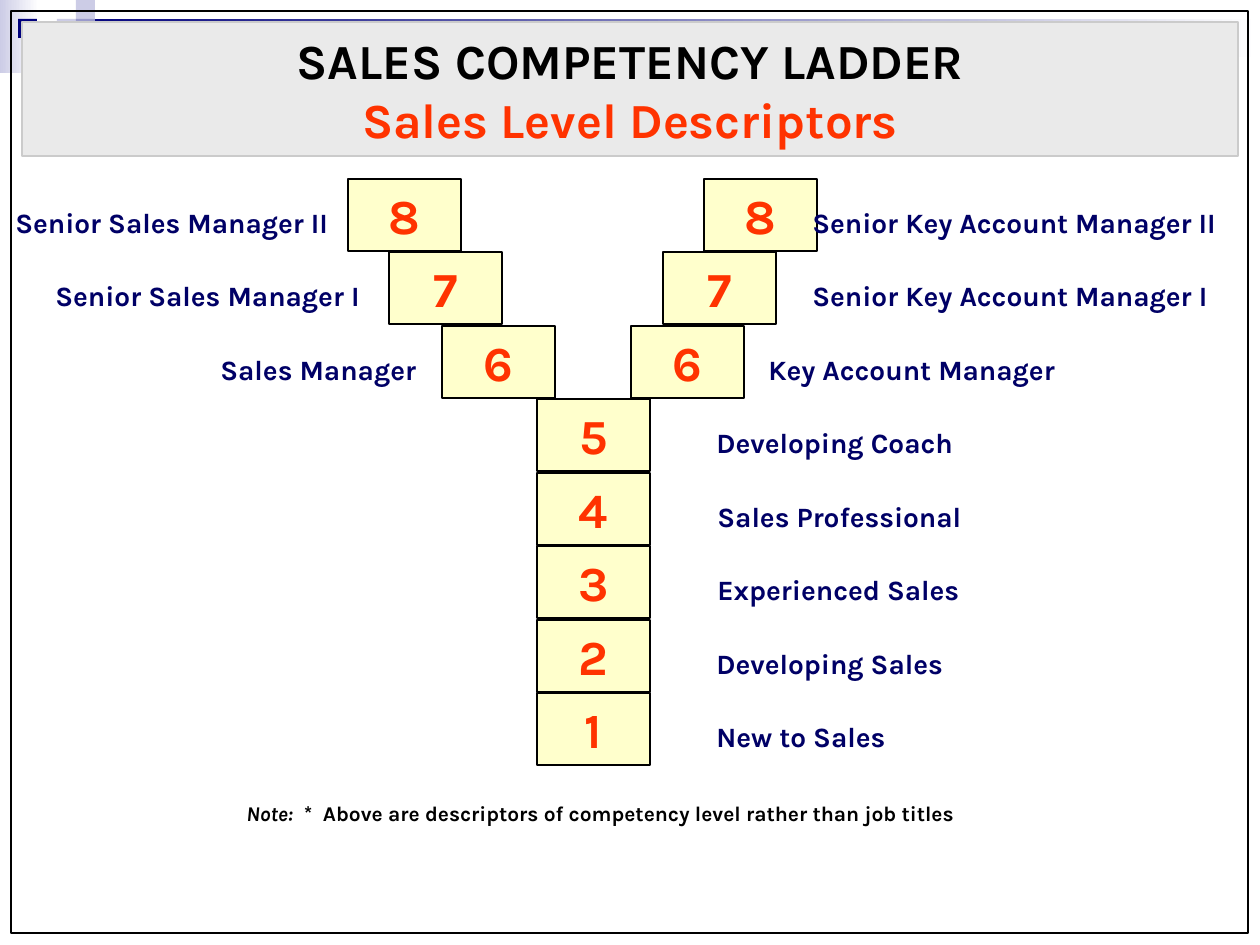
from pptx import Presentation, util as u
from pptx.dml.color import RGBColor
from pptx.enum import shapes, text

COLORS = {
    "white": "FFFFFF", "black": "000000", "navy": "00007D", "label": "000066",
    "lilac": "CCCCE6", "violet": "9999CC", "step": "FFFFCC", "accent": "FF3300",
    "panel": "EAEAEA", "panel_edge": "CBCBCB",
}
FONT = "Karla"
EMU_PER_PX = 914400 / 126


def px(length):
    return u.Emu(round(length * EMU_PER_PX))


def color(name):
    return RGBColor.from_string(COLORS[name])


def write(para, words, size=16, ink="label", bold=True, italic=False):
    span = para.add_run()
    span.text = words
    span.font.name = FONT
    span.font.size = u.Pt(size)
    span.font.bold = bold
    span.font.italic = italic
    span.font.color.rgb = color(ink)


class Slide:
    def __init__(self, page):
        self.page = page

    def rect(self, left, top, width, height, fill=None, line=None):
        box = self.page.shapes.add_shape(
            shapes.MSO_SHAPE.RECTANGLE, px(left), px(top), px(width), px(height))
        box.shadow.inherit = False
        if fill:
            box.fill.solid()
            box.fill.fore_color.rgb = color(fill)
        else:
            box.fill.background()
        if line:
            box.line.color.rgb = color(line)
            box.line.width = u.Pt(1)
        else:
            box.line.fill.background()
        return box

    def fade(self, left, top, width, height, start, end):
        box = self.rect(left, top, width, height)
        box.fill.gradient()
        box.fill.gradient_angle = 0
        for stop, name in zip(box.fill.gradient_stops, (start, end)):
            stop.color.rgb = color(name)

    def centered(self, box, wrap):
        frame = box.text_frame
        frame.word_wrap = wrap
        frame.vertical_anchor = text.MSO_ANCHOR.MIDDLE
        para = frame.paragraphs[0]
        para.alignment = text.PP_ALIGN.CENTER
        return para

    def step(self, left, top, level):
        box = self.rect(left, top, 113, 72, "step", "black")
        write(self.centered(box, False), str(level), size=28, ink="accent")

    def label(self, left, top, width, height=47):
        box = self.page.shapes.add_textbox(px(left), px(top), px(width), px(height))
        box.text_frame.word_wrap = False
        box.text_frame.auto_size = text.MSO_AUTO_SIZE.SHAPE_TO_FIT_TEXT
        return box.text_frame.paragraphs[0]


def row_top(level):
    """Top of a ladder row: level 8 is highest, rows are 73.5 px apart."""
    return 179 + (8 - level) * 147 // 2


# level, step left, label left, label width, label
LADDER = [
    (8, 348, 3, 354, "Senior Sales Manager II"),
    (7, 389, 43, 343, "Senior Sales Manager I"),
    (6, 442, 208, 229, "Sales Manager"),
    (8, 704, 800, 455, "Senior Key Account Manager II"),
    (7, 663, 800, 445, "Senior Key Account Manager I"),
    (6, 631, 756, 338, "Key Account Manager"),
    (5, 537, 704, 282, "Developing Coach"),
    (4, 537, 705, 284, "Sales Professional"),
    (3, 537, 705, 275, "Experienced Sales"),
    (2, 537, 704, 262, "Developing Sales"),
    (1, 537, 704, 204, "New to Sales"),
]


def main():
    deck = Presentation()
    deck.slide_width, deck.slide_height = px(1260), px(945)
    slide = Slide(deck.slides.add_slide(deck.slide_layouts[6]))

    # Corner decoration
    slide.fade(0, 0, 39, 73, "lilac", "white")
    slide.fade(57, 19, 1203, 38, "navy", "white")
    for left, top, fill in [(57, 19, "lilac"), (76, 0, "lilac"),
                            (76, 19, "violet"), (18, 19, "navy")]:
        slide.rect(left, top, 19, 19, fill)

    # Ladder steps, then their labels
    for level, left, *_ in LADDER:
        slide.step(left, row_top(level), level)
    for level, _, left, width, words in LADDER:
        write(slide.label(left, row_top(level) + 20, width), words)

    # Note
    note = slide.label(234, 794, 782, 38)
    write(note, "Note:", size=12, ink="black", italic=True)
    write(note, "  *  Above are descriptors of competency level rather than job titles",
          size=12, ink="black")

    # Page frame and title panel
    slide.rect(11, 11, 1237, 922, line="black")
    panel = slide.rect(22, 22, 1216, 134, "panel", "panel_edge")
    title = slide.centered(panel, True)
    write(title, "SALES COMPETENCY LADDER", size=28, ink="black")
    title.add_line_break()
    write(title, "Sales Level Descriptors", size=28, ink="accent")

    deck.save("out.pptx")


if __name__ == "__main__":
    main()
